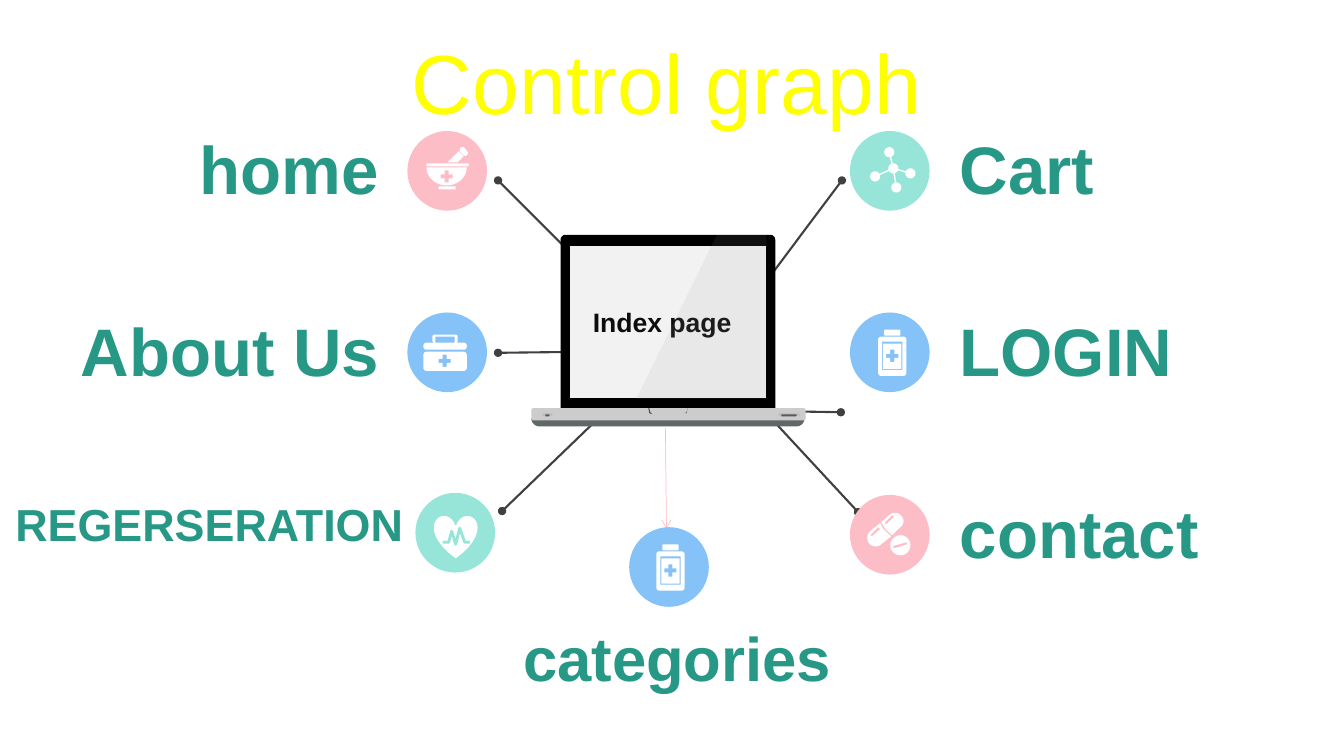
from math import cos, radians, sin

from lxml import etree
from pptx import Presentation
from pptx.dml.color import RGBColor
from pptx.enum.shapes import MSO_CONNECTOR, MSO_SHAPE
from pptx.enum.text import MSO_ANCHOR, MSO_AUTO_SIZE, PP_ALIGN
from pptx.oxml.ns import qn
from pptx.util import Emu, Pt

EMU_PER_PX = 9144
STRAIGHT = MSO_CONNECTOR.STRAIGHT
ELLIPSE, ROUND_RECT = MSO_SHAPE.OVAL, MSO_SHAPE.ROUNDED_RECTANGLE
LEFT, CENTER, RIGHT = PP_ALIGN.LEFT, PP_ALIGN.CENTER, PP_ALIGN.RIGHT
TOP, MIDDLE = MSO_ANCHOR.TOP, MSO_ANCHOR.MIDDLE
NO_FIT = MSO_AUTO_SIZE.NONE

MINT, PINK, BLUE, TEAL = "96E5D8", "FDBDC7", "85C2F8", "269885"
WHITE, DARK = "FFFFFF", "404040"
DISC = 79

NODES = [
    ("Cart", (843, 130), MINT, (942, 121, 300, 91), 48, LEFT),
    ("LOGIN", (843, 310), BLUE, (942, 302, 300, 91), 48, LEFT),
    ("contact", (843, 491), PINK, (942, 482, 300, 91), 48, LEFT),
    ("home", (404, 130), PINK, (61, 121, 325, 91), 48, RIGHT),
    ("About Us", (404, 310), BLUE, (61, 302, 325, 91), 48, RIGHT),
    ("REGERSERATION", (412, 489), MINT, (0, 488, 410, 64), 32, RIGHT),
    ("categories", (624, 523), BLUE, (509, 610, 329, 84), 44, LEFT),
]
SPOKES = [
    ((663, 348), (494, 179)), ((663, 348), (494, 350)),
    ((663, 348), (498, 507)), ((665, 406), (835, 179)),
    ((664, 406), (834, 409)), ((660, 302), (851, 508)),
]


def px(length):
    return Emu(round(length * EMU_PER_PX))


def color(code):
    return RGBColor.from_string(code)


def arc(cx, cy, rx, ry, start, end, steps=8):
    angles = [radians(start + (end - start) * i / steps) for i in range(steps + 1)]
    return [(cx + rx * cos(a), cy + ry * sin(a)) for a in angles]


def bezier(a, b, c, d, steps=16):
    def at(t):
        weights = ((1 - t) ** 3, 3 * t * (1 - t) ** 2, 3 * t * t * (1 - t), t ** 3)
        return tuple(sum(w * p[axis] for w, p in zip(weights, (a, b, c, d)))
                     for axis in (0, 1))
    return [at(i / steps) for i in range(steps + 1)]


def rect(x, y, width, height):
    return [(x, y), (x + width, y), (x + width, y + height), (x, y + height)]


def rounded(x, y, width, height, radius):
    right, bottom = x + width - radius, y + height - radius
    corners = [(right, bottom), (x + radius, bottom),
               (x + radius, y + radius), (right, y + radius)]
    return [point for i, (cx, cy) in enumerate(corners)
            for point in arc(cx, cy, radius, radius, 90 * i, 90 * i + 90)]


def plus(cx, cy):
    quarter = [(6, -2), (6, 2), (2, 2)]
    points = []
    for _ in range(4):
        points += [(cx + x, cy + y) for x, y in quarter]
        quarter = [(-y, x) for x, y in quarter]
    return points


def disc(cx, cy, radius=5):
    return arc(cx, cy, radius, radius, 0, 360, 24)


def paint(shape, fill, alpha=None):
    shape.shadow.inherit = False
    shape.line.fill.background()
    shape.fill.solid()
    shape.fill.fore_color.rgb = color(fill)
    if alpha:
        tint = shape.fill._xPr.find(".//" + qn("a:srgbClr"))
        etree.SubElement(tint, qn("a:alpha"), val=str(alpha * 1000))


def outline(shapes, contours, fill=WHITE, alpha=None, close=True):
    scaled = [[(px(x), px(y)) for x, y in contour] for contour in contours]
    builder = shapes.build_freeform(*scaled[0][0], scale=1.0)
    for number, contour in enumerate(scaled):
        if number:
            builder.move_to(*contour[0])
        builder.add_line_segments(contour[1:], close=close)
    shape = builder.convert_to_shape()
    paint(shape, fill, alpha)
    return shape


def preset(shapes, kind, bounds, fill):
    shape = shapes.add_shape(kind, *map(px, bounds))
    paint(shape, fill)
    return shape


def connect(shapes, start, end, stroke, width, head=None, tail=None):
    line = shapes.add_connector(STRAIGHT, *map(px, (*start, *end)))
    line.line.color.rgb = color(stroke)
    line.line.width = Pt(width)
    for tag, kind in (("a:headEnd", head), ("a:tailEnd", tail)):
        if kind:
            etree.SubElement(line.line._get_or_add_ln(), qn(tag), type=kind)
    etree.SubElement(line._element.spPr, qn("a:effectLst"))


def write(frame, text, size, ink, bold=False, align=LEFT, anchor=TOP,
          spacing=None, wrap=True):
    frame.word_wrap = wrap
    frame.auto_size = NO_FIT
    frame.vertical_anchor = anchor
    para = frame.paragraphs[0]
    para.alignment = align
    para.line_spacing = spacing
    span = para.add_run()
    span.text = text
    span.font.name = "Arial"
    span.font.size = Pt(size)
    span.font.bold = bold
    span.font.color.rgb = color(ink)


def draw_node(shapes, label, corner, fill, bounds, size, align):
    preset(shapes, ELLIPSE, (*corner, DISC, DISC), fill)
    box = shapes.add_textbox(*map(px, bounds))
    write(box.text_frame, label, size, TEAL, bold=True, align=align)


def draw_laptop(shapes):
    outline(shapes, [[(527, 415), (798, 415), *arc(790, 415, 8, 8, 0, 90),
                      *arc(535, 415, 8, 8, 90, 180)]], "5F6767")
    outline(shapes, [rounded(556, 233, 213, 177, 5)], "000000")
    display = outline(shapes, [rect(565, 244, 195, 151)], "F2F2F2")
    display.text_frame.margin_left = px(23)
    write(display.text_frame, "Index page", 19, "0D0D0D", bold=True, anchor=MIDDLE)
    outline(shapes, [rounded(527, 405, 272, 12, 2)], "CCCCCC")
    outline(shapes, [[(643, 405), (644, 405), (645, 409), (647, 411), (644, 410)],
                     [(682, 405), (681, 409), (679, 410), (681, 410)]], "4D4D4D")
    for x, width in ((538, 10), (772, 21)):
        for bounds, fill in (((x, 410, width, 3), "BFBFBF"),
                             ((x + 3, 411, width - 6, 2), "595959")):
            preset(shapes, ROUND_RECT, bounds, fill).adjustments[0] = 0.28
    outline(shapes, [[(711, 233), (760, 233), (760, 396), (631, 396)]], "999999", alpha=10)


def draw_heart(shapes):
    dip, tip = (452, 522), (452, 554)
    outline(shapes, [bezier(dip, (461, 497), (496, 522), tip)
                     + bezier(tip, (408, 522), (443, 497), dip)])
    pulse = outline(shapes, [[(439, 538), (445, 538), (448, 527), (452, 540),
                              (456, 524), (461, 538), (466, 538)]], close=False)
    pulse.fill.background()
    pulse.line.color.rgb = color(MINT)
    pulse.line.width = Pt(2)


def draw_medkit(shapes):
    outline(shapes, [plus(441, 358), rounded(420, 349, 43, 19, 3),
                     rounded(420, 340, 43, 7, 3), rounded(429, 332, 25, 8, 2),
                     rect(432, 334, 19, 6)])


def draw_mortar(shapes):
    outline(shapes, [rounded(435, 185, 17, 3, 1), plus(443, 175),
                     arc(443, 166, 20, 18, 0, 180, 16), rounded(423, 162, 42, 3, 1),
                     [(455, 150), (460, 155), (454, 161), (444, 161)],
                     [(458, 146), (460, 146), (464, 151), (464, 153),
                      (462, 155), (460, 154), (456, 150), (456, 147)]])


def draw_pills(shapes):
    outline(shapes, [
        disc(893, 541, 10),
        [(899, 538), (900, 540), (887, 544), (885, 542)],
        [(873, 519), (876, 525), (884, 532),
         *bezier((874, 540), (871, 543), (865, 543), (862, 539)),
         *bezier((862, 539), (859, 536), (860, 530), (863, 527))],
        [(871, 523), (873, 525), (865, 532), (863, 531)],
        [(885, 531), (878, 525), (874, 518),
         *bezier((882, 511), (886, 508), (891, 508), (894, 512)),
         *bezier((894, 512), (897, 515), (897, 520), (893, 523))],
        [(885, 511), (887, 513), (879, 520), (877, 519)]])


def draw_bottle(shapes, x, y):
    outline(shapes, [plus(x + 14, y + 26), rect(x + 5, y + 14, 18, 25),
                     rect(x + 4, y + 12, 20, 28), rounded(x, y + 7, 28, 39, 3),
                     rounded(x + 6, y, 16, 6, 1)])


def draw_molecule(shapes):
    core, atoms = (886, 167), [(882, 151), (903, 172), (889, 186), (868, 175)]
    for atom in atoms:
        connect(shapes, core, atom, WHITE, 1)
    outline(shapes, [disc(*center) for center in [core, *atoms]])


def main():
    deck = Presentation()
    deck.slide_width, deck.slide_height = px(1333), px(750)
    page = deck.slides.add_slide(deck.slide_layouts[5])
    shapes = page.shapes
    title = shapes.title
    title.left, title.top, title.width, title.height = map(px, (0, 37, 1322, 79))
    write(title.text_frame, "Control graph", 60, "FFFF00", align=CENTER, spacing=0.9)
    for start, end in SPOKES:
        connect(shapes, start, end, DARK, 1.5, head="oval", tail="oval")
    connect(shapes, (660, 425), (661, 525), PINK, 0.5, tail="arrow")
    for node in NODES:
        draw_node(shapes, *node)
    draw_laptop(shapes.add_group_shape().shapes)
    for draw in (draw_heart, draw_medkit, draw_mortar, draw_pills, draw_molecule):
        draw(shapes)
    for corner in ((871, 327), (651, 540)):
        draw_bottle(shapes, *corner)
    deck.save("out.pptx")


if __name__ == "__main__":
    main()
